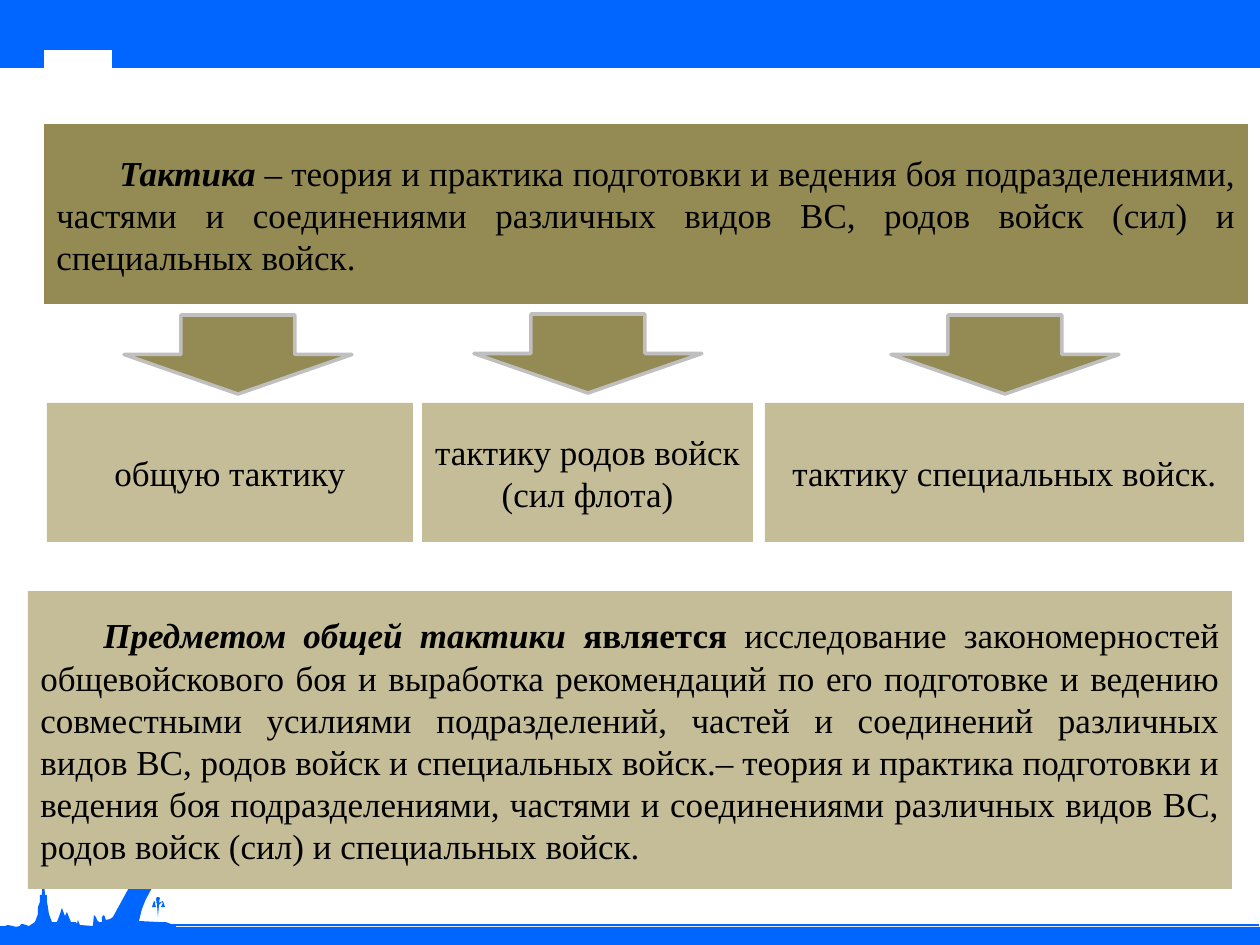
import pptx
import pptx.dml.color
import pptx.enum.shapes
import pptx.enum.text
import pptx.oxml
import pptx.util
from dataclasses import dataclass

PX = 914400 / 126  # EMU in one px
SHAPES = pptx.enum.shapes.MSO_SHAPE
ALIGN = pptx.enum.text.PP_ALIGN


@dataclass(frozen=True)
class Theme:
    background: str = "FFFFFF"
    blue: str = "0066FF"
    olive: str = "948A54"
    sand: str = "C4BD97"
    arrow_edge: str = "BFBFBF"
    text: str = "000000"
    font: str = "Times New Roman"
    text_size: float = 20
    header_rule: float = 4.5
    footer_rule: float = 0.75
    arrow_rule: float = 2


THEME = Theme()

# Runs are (text, bold, italic)
DEFINITION = [
    ("Тактика", True, True),
    (" – теория и практика подготовки и ведения боя подразделениями, частями и "
     "соединениями различных видов ВС, родов войск (сил) и специальных войск.", False, False),
]
SUBJECT = [
    ("Предметом общей тактики", True, True),
    (" является ", True, False),
    ("исследование закономерностей общевойскового боя и выработка рекомендаций по его "
     "подготовке и ведению совместными усилиями подразделений, частей и соединений "
     "различных видов ВС, родов войск и специальных войск.– теория и практика подготовки "
     "и ведения боя подразделениями, частями и соединениями различных видов ВС, родов "
     "войск (сил) и специальных войск.", False, False),
]

# Branch of tactics: left, width, arrow left, arrow top, label
BRANCHES = [
    (422, 331, 474, 314, "тактику родов войск (сил флота)"),
    (765, 479, 891, 315, "тактику специальных войск."),
    (47, 366, 124, 315, "общую тактику"),
]

SKYLINE = [
    (0, 940), (0, 926), (5, 926), (8, 925), (13, 926), (16, 927), (20, 926), (21, 924),
    (23, 924), (29, 926), (35, 922), (38, 914), (38, 907), (40, 902), (40, 895), (42, 895),
    (43, 860), (45, 895), (47, 895), (47, 902), (48, 907), (49, 914), (52, 922), (57, 922),
    (60, 914), (62, 908), (65, 916), (67, 912), (69, 917), (71, 922), (76, 922), (77, 924),
    (78, 920), (80, 925), (93, 926), (94, 915), (96, 917), (97, 920), (99, 922), (102, 922),
    (102, 917), (104, 915), (105, 917), (106, 920), (110, 919), (113, 917), (130, 886),
    (127, 883), (132, 886), (146, 887), (136, 881), (147, 886), (152, 888), (146, 899),
    (142, 909), (139, 921), (159, 922), (166, 922), (176, 926), (176, 940),
]
ANCHOR = [
    (158, 917), (157, 903), (155, 902), (155, 903), (156, 907), (152, 907), (154, 901),
    (157, 903), (156, 899), (157, 897), (159, 897), (160, 898), (159, 903), (163, 901),
    (165, 907), (161, 907), (163, 903), (162, 902), (159, 905),
]


def px(length):
    return pptx.util.Emu(round(length * PX))


def rgb(color):
    return pptx.dml.color.RGBColor.from_string(color)


def paint(shape, fill, edge=None):
    shape.shadow.inherit = False
    shape.fill.solid()
    shape.fill.fore_color.rgb = rgb(fill)
    if edge:
        shape.line.color.rgb = rgb(edge)
        shape.line.width = pptx.util.Pt(THEME.arrow_rule)
    else:
        shape.line.fill.background()


def add_block(slide, box, fill, kind=SHAPES.RECTANGLE, edge=None):
    block = slide.shapes.add_shape(kind, *map(px, box))
    paint(block, fill, edge)
    return block


def add_text_block(slide, box, fill, runs, align=ALIGN.CENTER, indent=0):
    frame = add_block(slide, box, fill).text_frame
    frame.word_wrap = True
    frame.vertical_anchor = pptx.enum.text.MSO_ANCHOR.MIDDLE
    paragraph = frame.paragraphs[0]
    paragraph.alignment = align
    if indent:
        paragraph._p.get_or_add_pPr().set("indent", str(px(indent)))
    for text, bold, italic in runs:
        run = paragraph.add_run()
        run.text = text
        run.font.name = THEME.font
        run.font.size = pptx.util.Pt(THEME.text_size)
        run.font.color.rgb = rgb(THEME.text)
        run.font.bold = bold
        run.font.italic = italic


def add_rule(slide, left, right, y, width):
    rule = slide.shapes.add_connector(
        pptx.enum.shapes.MSO_CONNECTOR.STRAIGHT, px(left), px(y), px(right), px(y))
    rule.line.color.rgb = rgb(THEME.blue)
    rule.line.width = pptx.util.Pt(width)
    properties = rule._element.spPr
    properties.append(pptx.oxml.parse_xml(
        '<a:effectLst xmlns:a="http://schemas.openxmlformats.org/drawingml/2006/main"/>'))


def add_silhouette(slide, first, *others):
    builder = slide.shapes.build_freeform(*first[0], scale=PX)
    builder.add_line_segments(first[1:], close=True)
    for contour in others:
        builder.move_to(*contour[0])
        builder.add_line_segments(contour[1:], close=True)
    paint(builder.convert_to_shape(), THEME.blue)


def add_frame(slide):
    # Header band, footer skyline and rules
    add_block(slide, (0, 0, 1260, 66), THEME.blue)
    add_silhouette(slide, SKYLINE, ANCHOR)
    add_block(slide, (0, 927, 1260, 18), THEME.blue)
    add_rule(slide, 0, 1260, 64, THEME.header_rule)
    add_rule(slide, 163, 1259, 925, THEME.footer_rule)
    add_block(slide, (44, 50, 68, 56), THEME.background)


def main():
    deck = pptx.Presentation()
    deck.slide_width, deck.slide_height = px(1260), px(945)
    slide = deck.slides.add_slide(deck.slide_layouts[6])
    slide.background.fill.solid()
    slide.background.fill.fore_color.rgb = rgb(THEME.background)
    add_frame(slide)

    # Definition of tactics
    add_text_block(slide, (44, 124, 1204, 180), THEME.olive, DEFINITION, ALIGN.JUSTIFY, 63)

    # Branches with the arrows that lead to them
    for left, width, arrow_left, arrow_top, label in BRANCHES:
        add_text_block(slide, (left, 403, width, 139), THEME.sand, [(label, False, False)])
        add_block(slide, (arrow_left, arrow_top, 228, 79), THEME.olive,
                  SHAPES.DOWN_ARROW, THEME.arrow_edge)

    # Subject of general tactics
    add_text_block(slide, (28, 591, 1204, 298), THEME.sand, SUBJECT, ALIGN.JUSTIFY, 63)

    deck.save("out.pptx")


if __name__ == "__main__":
    main()
